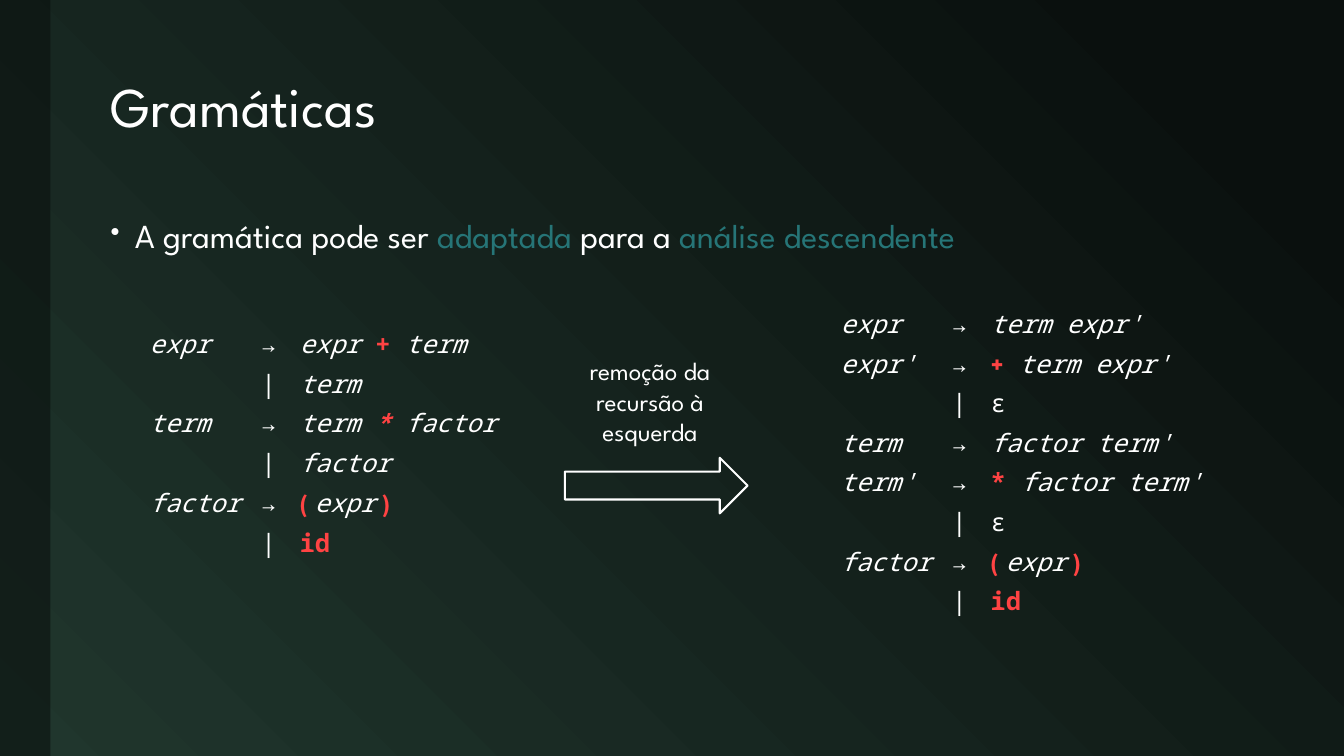
from lxml import etree
from pptx import Presentation
from pptx.dml.color import RGBColor
from pptx.enum.shapes import MSO_SHAPE
from pptx.enum.text import MSO_ANCHOR, PP_ALIGN
from pptx.oxml.ns import qn
from pptx.util import Pt

RECT = MSO_SHAPE.RECTANGLE
ARROW = MSO_SHAPE.RIGHT_ARROW
MIDDLE = MSO_ANCHOR.MIDDLE
CENTER = PP_ALIGN.CENTER

SCALE = 9525  # 96 px to the inch
SANS, MONO = "League Spartan", "Noto Sans Mono"
COLORS = {"dark": "0A100E", "green": "20362D", "white": "FFFFFF",
          "teal": "267577", "red": "FF4343"}
PLAIN_STYLE = "{2D5ABB26-0587-4C30-8999-92F81FD0307C}"

# name: font, colour, bold, italic
STYLES = {
    "text": (SANS, "white", False, False),
    "key": (SANS, "teal", False, False),
    "rule": (MONO, "white", False, True),
    "sign": (MONO, "white", False, False),
    "token": (MONO, "red", True, False),
    "slant": (MONO, "red", True, True),
    "mark": (SANS, "red", True, False),
}

EMPTY = [("ϵ", "sign")]
PAREN = [("( ", "mark"), ("expr", "rule"), (" )", "mark")]
IDENT = [("id", "token")]

# Each row: left side, sign, runs of the right side
LEFT = [
    ("expr", "→", [("expr ", "rule"), ("+ ", "token"), ("term", "rule")]),
    ("", "|", [("term", "rule")]),
    ("term", "→", [("term ", "rule"), ("* ", "slant"), ("factor", "rule")]),
    ("", "|", [("factor", "rule")]),
    ("factor", "→", PAREN),
    ("", "|", IDENT),
]
RIGHT = [
    ("expr", "→", [("term expr'", "rule")]),
    ("expr'", "→", [("+", "mark"), (" term expr'", "rule")]),
    ("", "|", EMPTY),
    ("term", "→", [("factor term'", "rule")]),
    ("term'", "→", [("* ", "token"), ("factor term'", "rule")]),
    ("", "|", EMPTY),
    ("factor", "→", PAREN),
    ("", "|", IDENT),
]


def px(*sizes):
    return [size * SCALE for size in sizes]


def color(name):
    return RGBColor.from_string(COLORS[name])


def add_runs(para, runs, size):
    for text, style in runs:
        run = para.add_run()
        run.text = text
        font = run.font
        font.name, shade, font.bold, font.italic = STYLES[style]
        font.size = Pt(size)
        font.color.rgb = color(shade)


def add_text(shapes, box, runs, size):
    frame = shapes.add_textbox(*px(*box)).text_frame
    frame.word_wrap = True
    add_runs(frame.paragraphs[0], runs, size)
    return frame


def add_bullet(para):
    props = para._p.get_or_add_pPr()
    indent = px(23)[0]
    props.set("marL", str(indent))
    props.set("indent", str(-indent))
    etree.SubElement(props, qn("a:buSzPct"), val="80000")
    etree.SubElement(props, qn("a:buChar"), char="•")


def add_rules(shapes, left, top, height, rows):
    """Lay out grammar rules in a table without borders or fills."""
    widths = px(106, 37, 272)
    frame = shapes.add_table(len(rows), len(widths),
                             *px(left, top, 415, height))
    frame.element.xpath(".//a:tableStyleId")[0].text = PLAIN_STYLE
    table = frame.table
    table.first_row = table.horz_banding = False
    for col, width in zip(table.columns, widths):
        col.width = width
    for row, (head, sign, body) in zip(table.rows, rows):
        parts = [[(head, "rule")] if head else [], [(sign, "sign")], body]
        for cell, runs in zip(row.cells, parts):
            cell.fill.background()
            cell.margin_top = cell.margin_bottom = 0
            add_runs(cell.text_frame.paragraphs[0], runs, 18)


def add_back(slide):
    fill = slide.background.fill
    fill.gradient()
    fill.gradient_angle = 225
    for stop, name, place in zip(fill.gradient_stops,
                                 ("dark", "green"), (0.1, 1)):
        stop.color.rgb = color(name)
        stop.position = place


def add_band(shapes):
    band = shapes.add_shape(RECT, *px(0, 0, 48, 720))
    band.shadow.inherit = False
    band.line.fill.background()
    band.fill.solid()
    band.fill.fore_color.rgb = color("dark")
    shade = band.element.xpath("./p:spPr/a:solidFill/a:srgbClr")[0]
    etree.SubElement(shade, qn("a:alpha"), val="60000")


def add_step(shapes):
    """Group the caption with the arrow between the grammars."""
    group = shapes.add_group_shape().shapes
    note = add_text(group, (538, 334, 162, 101),
                    [("remoção da recursão à esquerda", "text")], 18)
    note.paragraphs[0].alignment = CENTER
    arrow = group.add_shape(ARROW, *px(538, 436, 174, 53))
    arrow.shadow.inherit = False
    arrow.fill.background()
    arrow.line.color.rgb = color("white")
    arrow.line.width = Pt(1.5)


def main():
    deck = Presentation()
    deck.slide_width, deck.slide_height = px(1280, 720)
    slide = deck.slides.add_slide(deck.slide_layouts[6])
    shapes = slide.shapes
    add_back(slide)
    add_band(shapes)

    title = add_text(shapes, (96, 40, 1118, 128), [("Gramáticas", "text")], 40)
    title.vertical_anchor = MIDDLE
    title.paragraphs[0].line_spacing = 0.9

    body = add_text(shapes, (96, 192, 1118, 464), [
        ("A gramática pode ser ", "text"), ("adaptada", "key"),
        (" para a ", "text"), ("análise descendente", "key")], 24)
    add_bullet(body.paragraphs[0])
    body.paragraphs[0].line_spacing = 1.2

    add_rules(shapes, 791, 292, 302, RIGHT)
    add_rules(shapes, 133, 311, 227, LEFT)
    add_step(shapes)
    deck.save("out.pptx")


if __name__ == "__main__":
    main()
